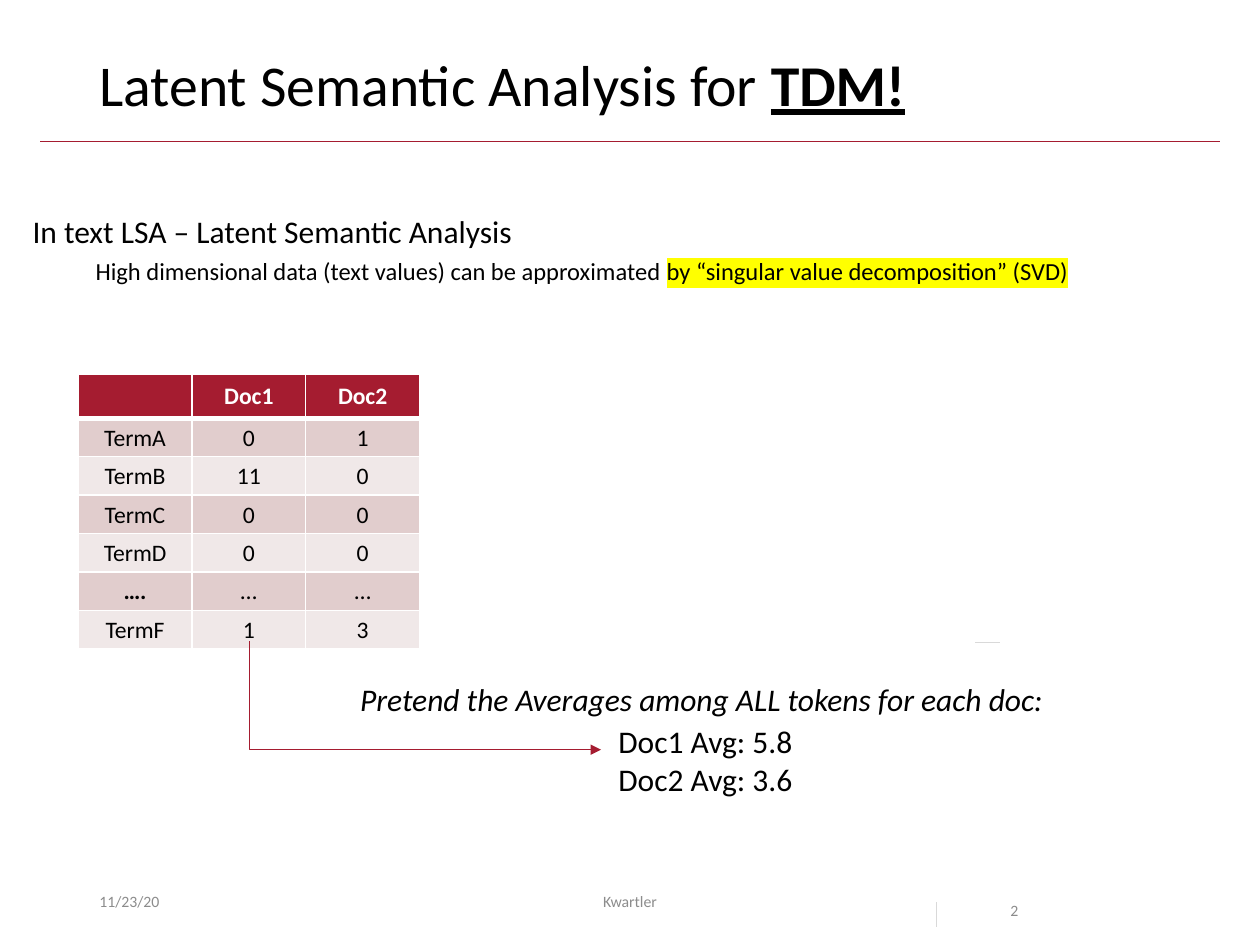
from typing import NamedTuple

import lxml.etree
import pptx
import pptx.dml.color
import pptx.enum.shapes
import pptx.enum.text
import pptx.oxml.ns
import pptx.util

Inches = pptx.util.Inches
Pt = pptx.util.Pt
RGBColor = pptx.dml.color.RGBColor
Align = pptx.enum.text.PP_ALIGN
Anchor = pptx.enum.text.MSO_ANCHOR
Link = pptx.enum.shapes.MSO_CONNECTOR
qn = pptx.oxml.ns.qn

BLACK = RGBColor(0x00, 0x00, 0x00)
WHITE = RGBColor(0xFF, 0xFF, 0xFF)
GREY = RGBColor(0x8C, 0x8C, 0x8C)
PALE = RGBColor(0xD9, 0xD9, 0xD9)
RED = RGBColor(0xA5, 0x1C, 0x30)
ROSE = RGBColor(0xE1, 0xCD, 0xCD)
BLUSH = RGBColor(0xF0, 0xE8, 0xE8)
YELLOW = RGBColor(0xFF, 0xFF, 0x00)
FONT = "Calibri"


class Box(NamedTuple):
    left: float
    top: float
    width: float
    height: float


class Rule(NamedTuple):
    x1: float
    y1: float
    x2: float
    y2: float
    color: RGBColor


RULES = [
    Rule(0.32, 1.12, 9.68, 1.12, RED),
    Rule(7.43, 7.16, 7.43, 7.36, PALE),
    Rule(7.74, 5.1, 7.94, 5.1, PALE),
]
COUNTS = [
    ("", "Doc1", "Doc2"),
    ("TermA", "0", "1"),
    ("TermB", "11", "0"),
    ("TermC", "0", "0"),
    ("TermD", "0", "0"),
    ("….", "…", "…"),
    ("TermF", "1", "3"),
]


def add_run(para, text: str, *, size: float = 18, color: RGBColor = BLACK,
            bold: bool = False, italic: bool = False, under: bool = False,
            mark: RGBColor | None = None) -> None:
    run = para.add_run()
    run.text = text
    font = run.font
    font.name, font.size = FONT, Pt(size)
    font.bold, font.italic, font.underline = bold, italic, under
    font.color.rgb = color
    if mark is not None:
        high = lxml.etree.Element(qn("a:highlight"))
        lxml.etree.SubElement(high, qn("a:srgbClr"), val=str(mark))
        font.fill  # the highlight follows the fill in the run's properties
        run._r.rPr.find(qn("a:solidFill")).addnext(high)


def add_text(slide, box: Box, *lines: str, align=Align.LEFT, anchor=Anchor.TOP,
             wrap: bool = True, space: float | None = None, **style):
    frame = slide.shapes.add_textbox(*map(Inches, box)).text_frame
    frame.word_wrap = wrap
    frame.vertical_anchor = anchor
    for i, line in enumerate(lines):
        para = frame.add_paragraph() if i else frame.paragraphs[0]
        para.alignment = align
        para.line_spacing = space
        add_run(para, line, **style)
    return frame


def add_line(slide, rule: Rule, kind=Link.STRAIGHT):
    line = slide.shapes.add_connector(kind, *map(Inches, rule[:4]))
    line.line.color.rgb = rule.color
    line.line.width = Pt(0.5)
    lxml.etree.SubElement(line._element.spPr, qn("a:effectLst"))
    return line


def add_elbow(slide, rule: Rule) -> None:
    """Draw an arrow that runs down first, then across."""
    elbow = add_line(slide, rule, Link.ELBOW)
    geom = elbow._element.spPr.find(qn("a:prstGeom"))
    guides = geom.find(qn("a:avLst"))
    if guides is None:
        guides = lxml.etree.SubElement(geom, qn("a:avLst"))
    lxml.etree.SubElement(guides, qn("a:gd"), name="adj1", fmla="val -100")
    lxml.etree.SubElement(elbow.line._get_or_add_ln(), qn("a:tailEnd"),
                          type="triangle")


def set_edges(cell, base: float) -> None:
    """Add white borders, ahead of the cell's fill."""
    props = cell._tc.get_or_add_tcPr()
    for i, side in enumerate(("lnL", "lnR", "lnT", "lnB")):
        width = base if side == "lnB" else 1
        edge = lxml.etree.Element(qn(f"a:{side}"), w=str(Pt(width)))
        fill = lxml.etree.SubElement(edge, qn("a:solidFill"))
        lxml.etree.SubElement(fill, qn("a:srgbClr"), val=str(WHITE))
        props.insert(i, edge)


def add_counts(slide, box: Box) -> None:
    rows, cols = len(COUNTS), len(COUNTS[0])
    table = slide.shapes.add_table(rows, cols, *map(Inches, box)).table
    head = 0.35
    for col in table.columns:
        col.width = Inches(box.width / cols)
    for r, words in enumerate(COUNTS):
        step = head if r == 0 else (box.height - head) / (rows - 1)
        table.rows[r].height = Inches(step)
        for c, word in enumerate(words):
            cell = table.cell(r, c)
            cell.margin_left = cell.margin_right = cell.margin_top = Inches(0.01)
            cell.margin_bottom = 0
            cell.vertical_anchor = Anchor.MIDDLE
            cell.fill.solid()
            cell.fill.fore_color.rgb = RED if r == 0 else (BLUSH, ROSE)[r % 2]
            set_edges(cell, 3 if r == 0 else 1)
            if word:
                para = cell.text_frame.paragraphs[0]
                para.alignment = Align.CENTER
                add_run(para, word, size=13.5, color=BLACK if r else WHITE,
                        bold=r == 0 or word == "….")


def main() -> None:
    deck = pptx.Presentation()
    deck.slide_width, deck.slide_height = Inches(10), Inches(7.5)
    slide = deck.slides.add_slide(deck.slide_layouts[6])

    for rule in RULES:
        add_line(slide, rule)

    title = add_text(slide, Box(0.69, 0.4, 8.62, 0.65),
                     "Latent Semantic Analysis for ", size=33, space=0.9)
    add_run(title.paragraphs[0], "TDM!", size=33, bold=True, under=True)

    foot = {"size": 9, "color": GREY}
    add_text(slide, Box(0.69, 6.95, 2.25, 0.4), "11/23/20",
             anchor=Anchor.MIDDLE, **foot)
    add_text(slide, Box(3.31, 6.95, 3.38, 0.4), "Kwartler",
             align=Align.CENTER, anchor=Anchor.MIDDLE, **foot)
    add_text(slide, Box(7.92, 6.95, 0.94, 0.4), "2", space=2.0, **foot)

    intro = add_text(slide, Box(0.16, 1.63, 9.69, 0.71),
                     "In text LSA – Latent Semantic Analysis")
    para = intro.add_paragraph()
    add_run(para, "\t")
    add_run(para, "High dimensional data (text values) can be approximated ",
            size=14)
    add_run(para, "by “singular value decomposition” (SVD)", size=14, mark=YELLOW)

    add_counts(slide, Box(0.62, 2.97, 2.71, 2.18))
    add_text(slide, Box(4.81, 5.68, 1.6, 0.71), "Doc1 Avg: 5.8",
             "Doc2 Avg: 3.6", wrap=False)
    add_text(slide, Box(2.76, 5.35, 5.71, 0.4),
             "Pretend the Averages among ALL tokens for each doc:",
             wrap=False, italic=True)
    add_elbow(slide, Rule(1.98, 5.09, 4.77, 5.95, RED))
    deck.save("out.pptx")


if __name__ == "__main__":
    main()
